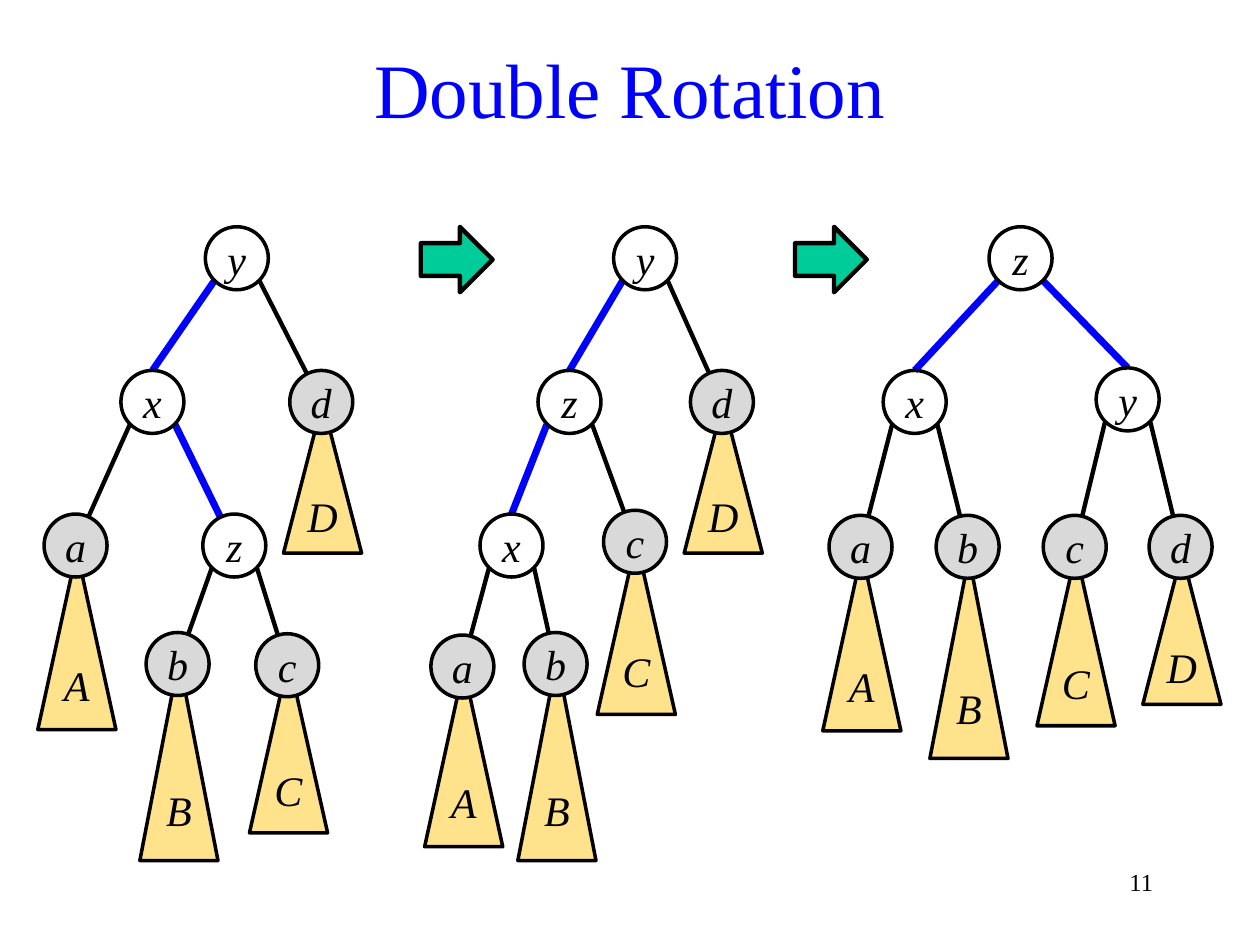
"""Build a slide showing a double rotation of a binary search tree."""
import pptx
import pptx.dml.color
import pptx.enum.shapes
import pptx.enum.text
import pptx.oxml
import pptx.oxml.ns
import pptx.util

SCALE = 9144
FONT = "Times New Roman"
COLORS = {"ink": "000000", "blue": "0000FF", "leaf": "D9D9D9", "white": "FFFFFF",
          "subtree": "FFC000", "arrow": "00CC99"}
DIAMETER = 50
RIM = 18
SUBTREE_WIDTH = 62
SUBTREE_HEIGHTS = {"a": 142, "b": 160, "c": 138, "d": 120}

# Nodes: label -> centre x, centre y, fill, top of the subtree below.
# Edges: parent and child -> colour, end point on the child.
TREES = [
    {"nodes": {"y": (188, 205, None, None), "x": (121, 319, None, None),
               "d": (255, 319, "leaf", 319), "a": (60, 433, "leaf", 437),
               "z": (186, 433, "white", None), "b": (141, 527, "leaf", 523),
               "c": (228, 528, "leaf", 523)},
     "edges": {"yx": ("blue", "top"), "yd": ("ink", "centre"), "xa": ("ink", "centre"),
               "xz": ("blue", "centre"), "zb": ("ink", "centre"), "zc": ("ink", "centre")}},
    {"nodes": {"y": (512, 205, None, None), "z": (452, 319, None, None),
               "d": (573, 319, "leaf", 319), "x": (406, 433, "white", None),
               "c": (504, 430, "leaf", 429), "a": (367, 529, "leaf", 530),
               "b": (441, 527, "leaf", 523)},
     "edges": {"yz": ("blue", "top"), "yd": ("ink", "centre"), "zx": ("blue", "top"),
               "zc": ("ink", "centre"), "xa": ("ink", "centre"), "xb": ("ink", "centre")}},
    {"nodes": {"z": (810, 205, None, None), "x": (726, 319, None, None),
               "y": (895, 317, None, None), "a": (683, 434, "leaf", 438),
               "b": (768, 434, "leaf", 442), "c": (853, 434, "leaf", 438),
               "d": (937, 434, "leaf", 439)},
     "edges": {"zx": ("blue", "top"), "zy": ("blue", "top"), "xa": ("ink", "centre"),
               "xb": ("ink", "centre"), "yc": ("ink", "centre"), "yd": ("ink", "centre")}},
]


def px(*lengths):
    return [pptx.util.Emu(length * SCALE) for length in lengths]


def color(name):
    return pptx.dml.color.RGBColor.from_string(COLORS[name])


def write(frame, text, *, size=24, ink="ink", italic=False, align="CENTER",
          anchor="MIDDLE", wrap=False, inset=None):
    frame.word_wrap = wrap
    frame.vertical_anchor = pptx.enum.text.MSO_ANCHOR[anchor]
    if inset is not None:
        frame.margin_left = frame.margin_right = inset
        frame.margin_top = frame.margin_bottom = inset
    para = frame.paragraphs[0]
    para.alignment = pptx.enum.text.PP_ALIGN[align]
    span = para.add_run()
    span.text = text
    span.font.name = FONT
    span.font.size = pptx.util.Pt(size)
    span.font.italic = italic
    span.font.color.rgb = color(ink)


class Painter:
    """Holds the page and draws each kind of element on it."""

    def __init__(self, page):
        self.page = page
        self.target = page.shapes

    def label(self, text, left, top, width, height, **style):
        box = self.page.shapes.add_textbox(*px(left, top, width, height))
        write(box.text_frame, text, wrap=True, **style)

    def shape(self, preset, left, top, width, height, fill, weight=2):
        kind = pptx.enum.shapes.MSO_SHAPE[preset]
        shape = self.target.add_shape(kind, *px(left, top, width, height))
        shape.shadow.inherit = False
        if fill:
            shape.fill.solid()
            shape.fill.fore_color.rgb = color(fill)
        else:
            shape.fill.background()
        shape.line.color.rgb = color("ink")
        shape.line.width = pptx.util.Pt(weight)
        return shape

    def arrow(self, left, top):
        self.shape("RIGHT_ARROW", left, top, 57, 52, "arrow", weight=2.5)

    def node(self, text, x, y, fill):
        radius = DIAMETER // 2
        circle = self.shape("OVAL", x - radius, y - radius, DIAMETER, DIAMETER, fill)
        write(circle.text_frame, text, italic=True, inset=0)

    def subtree(self, text, x, top):
        triangle = self.shape("ISOSCELES_TRIANGLE", x - SUBTREE_WIDTH // 2 + 1, top,
                              SUBTREE_WIDTH, SUBTREE_HEIGHTS[text], "subtree")
        solid = triangle.element.spPr.find(pptx.oxml.ns.qn("a:solidFill"))
        solid[0].append(pptx.oxml.parse_xml(
            f'<a:alpha {pptx.oxml.ns.nsdecls("a")} val="45000"/>'))
        write(triangle.text_frame, text.upper(), italic=True)

    def edge(self, parent, child, ink, end):
        side = RIM if child[0] > parent[0] else -RIM
        drop = DIAMETER // 2 if end == "top" else 0
        line = self.target.add_connector(
            pptx.enum.shapes.MSO_CONNECTOR.STRAIGHT,
            *px(parent[0] + side, parent[1] + RIM, child[0], child[1] - drop))
        line.line.color.rgb = color(ink)
        line.line.width = pptx.util.Pt(4 if ink == "blue" else 2.5)
        line.element.spPr.append(pptx.oxml.parse_xml(
            f'<a:effectLst {pptx.oxml.ns.nsdecls("a")}/>'))

    def tree(self, nodes, edges):
        self.target = self.page.shapes.add_group_shape().shapes
        for name, (x, _, _, top) in nodes.items():
            if top is not None:
                self.subtree(name, x, top)
        for (parent, child), (ink, end) in edges.items():
            self.edge(nodes[parent], nodes[child], ink, end)
        for name, (x, y, fill, _) in nodes.items():
            self.node(name, x, y, fill)
        self.target = self.page.shapes


def main():
    deck = pptx.Presentation()
    deck.slide_width, deck.slide_height = px(1000, 750)
    painter = Painter(deck.slides.add_slide(deck.slide_layouts[6]))
    painter.label("11", 717, 683, 208, 50, size=14, align="RIGHT", anchor="TOP")
    painter.label("Double Rotation", 0, 7, 1000, 125, size=44, ink="blue")
    for tree in TREES:
        painter.tree(**tree)
    for left in (334, 631):
        painter.arrow(left, 180)
    deck.save("out.pptx")


if __name__ == "__main__":
    main()
